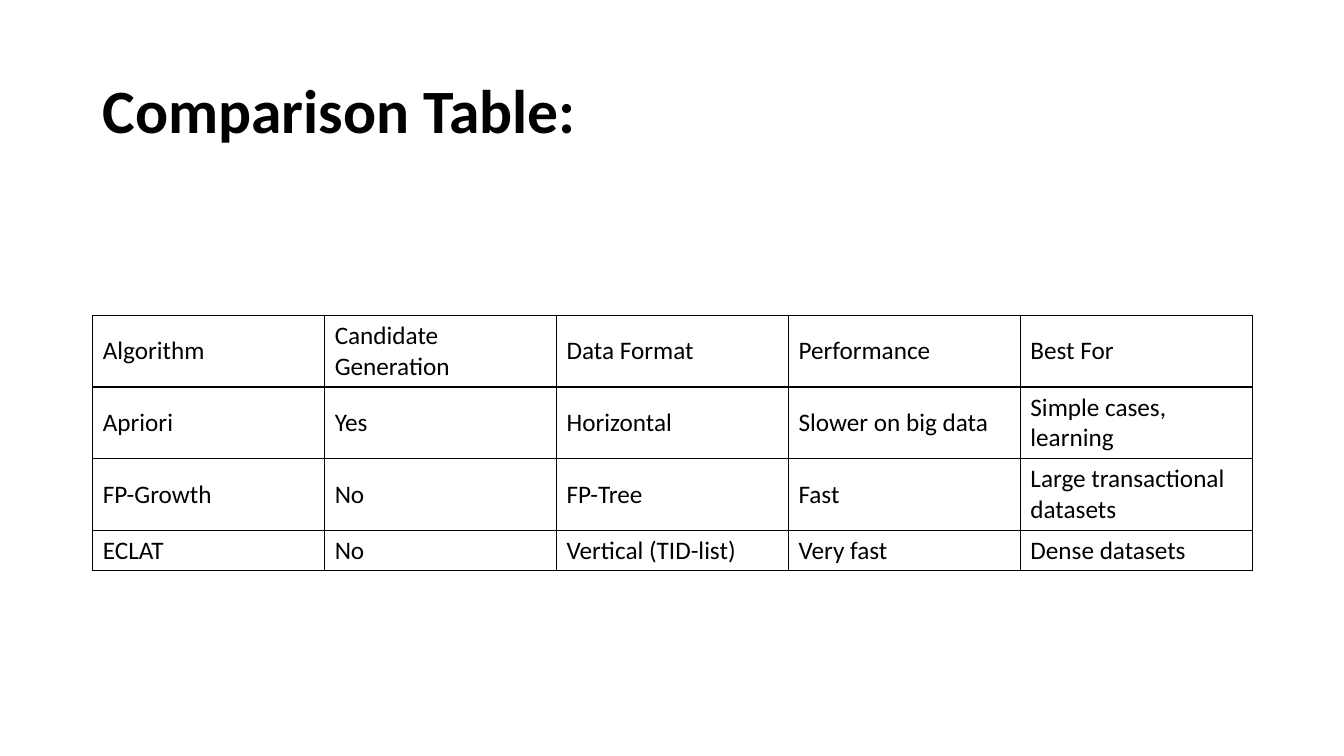
from lxml import etree
from pptx import Presentation, util as u
from pptx.dml.color import RGBColor
from pptx.enum import text
from pptx.oxml import ns

BLACK = RGBColor(0x00, 0x00, 0x00)
WHITE = RGBColor(0xFF, 0xFF, 0xFF)
FONT = "Calibri"
BORDER_PT = 1

COMPARISON = [
    ["Algorithm", "Candidate Generation", "Data Format", "Performance", "Best For"],
    ["Apriori", "Yes", "Horizontal", "Slower on big data", "Simple cases, learning"],
    ["FP-Growth", "No", "FP-Tree", "Fast", "Large transactional datasets"],
    ["ECLAT", "No", "Vertical (TID-list)", "Very fast", "Dense datasets"],
]
ROW_HEIGHTS = [0.71, 0.71, 0.71, 0.4]


def set_font(paragraph, size, bold):
    font = paragraph.font
    font.name, font.size, font.bold = FONT, u.Pt(size), bold
    font.color.rgb = BLACK


def add_borders(cell):
    """Draw a solid line on all four sides; lines must precede the fill."""
    properties = cell._tc.get_or_add_tcPr()
    for position, side in enumerate(("lnL", "lnR", "lnT", "lnB")):
        line = etree.Element(ns.qn(f"a:{side}"), w=str(u.Pt(BORDER_PT)))
        fill = etree.SubElement(line, ns.qn("a:solidFill"))
        etree.SubElement(fill, ns.qn("a:srgbClr"), val=str(BLACK))
        properties.insert(position, line)


def add_title(slide, left, top, width, height):
    title = slide.shapes.add_textbox(left, top, width, height).text_frame
    title.word_wrap = True
    title.vertical_anchor = text.MSO_ANCHOR.MIDDLE
    heading = title.paragraphs[0]
    heading.text = "Comparison Table:"
    heading.line_spacing = 0.9
    set_font(heading, 44, True)


def add_comparison(slide, left, top, width, height):
    columns = len(COMPARISON[0])
    table = slide.shapes.add_table(
        len(COMPARISON), columns, left, top, width, height).table
    table.first_row = table.horz_banding = False
    for column in table.columns:
        column.width = int(width / columns)
    for row, share in zip(table.rows, ROW_HEIGHTS):
        row.height = int(height * share / sum(ROW_HEIGHTS))
    for r, entries in enumerate(COMPARISON):
        for c, entry in enumerate(entries):
            cell = table.cell(r, c)
            cell.text = entry
            cell.vertical_anchor = text.MSO_ANCHOR.MIDDLE
            cell.fill.background()
            add_borders(cell)
            set_font(cell.text_frame.paragraphs[0], 18, False)


def main():
    prs = Presentation()
    prs.slide_width, prs.slide_height = u.Inches(13.33), u.Inches(7.5)
    slide = prs.slides.add_slide(prs.slide_layouts[6])
    slide.background.fill.solid()
    slide.background.fill.fore_color.rgb = WHITE

    # Both regions share the same left edge and width
    left, width = u.Inches(0.92), u.Inches(11.5)
    add_title(slide, left, u.Inches(0.4), width, u.Inches(1.45))
    add_comparison(slide, left, u.Inches(3.13), width, u.Inches(sum(ROW_HEIGHTS)))

    prs.save("out.pptx")


if __name__ == "__main__":
    main()
